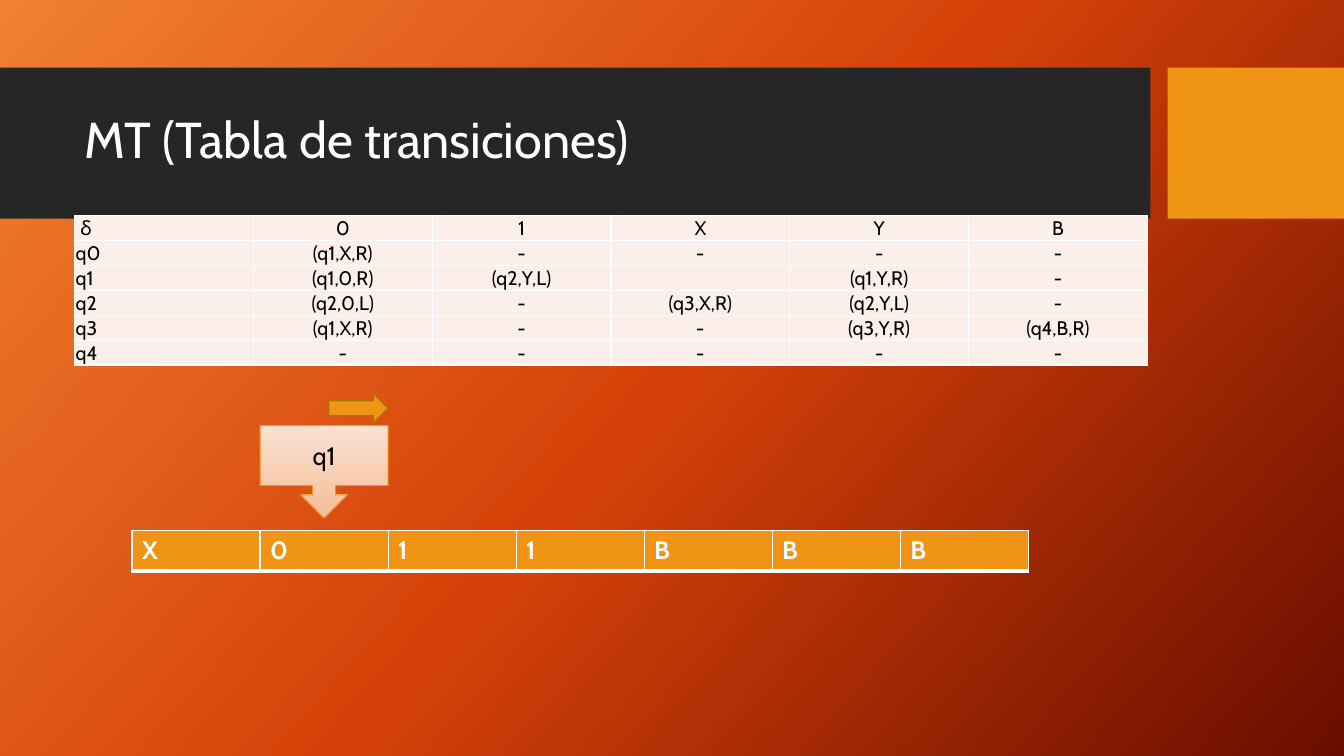
from copy import deepcopy
from dataclasses import dataclass

from lxml import etree
from pptx import Presentation
from pptx.dml.color import RGBColor
from pptx.enum.shapes import MSO_SHAPE
from pptx.enum.text import MSO_ANCHOR, PP_ALIGN
from pptx.oxml.ns import qn
from pptx.util import Inches, Pt

RECTANGLE = MSO_SHAPE.RECTANGLE
RIGHT_ARROW = MSO_SHAPE.RIGHT_ARROW
DOWN_CALLOUT = MSO_SHAPE.DOWN_ARROW_CALLOUT
LEFT, CENTER = PP_ALIGN.LEFT, PP_ALIGN.CENTER
TOP, MIDDLE, BOTTOM = MSO_ANCHOR.TOP, MSO_ANCHOR.MIDDLE, MSO_ANCHOR.BOTTOM


@dataclass(frozen=True)
class Theme:
    font: str = "Cabin"
    white: str = "FFFFFF"
    black: str = "000000"
    band: str = "262626"
    accent: str = "F09415"
    accent_line: str = "B26D10"
    cell: str = "FCEEE8"
    background: tuple = ((0, "F18031"), (0.5, "D54209"), (1, "6A0D00"))
    callout: tuple = ((0, "FAE1D1"), (1, "F5BD98"))
    title_size: int = 36
    head_size: int = 18
    table_size: int = 14


THEME = Theme()

TRANSITIONS = [
    [" δ", "0", "1", "X", "Y", "B"],
    ["q0", "(q1,X,R)", "-", "-", "-", "-"],
    ["q1", "(q1,0,R)", "(q2,Y,L)", "", "(q1,Y,R)", "-"],
    ["q2", "(q2,0,L)", "-", "(q3,X,R)", "(q2,Y,L)", "-"],
    ["q3", "(q1,X,R)", "-", "-", "(q3,Y,R)", "(q4,B,R)"],
    ["q4", "-", "-", "-", "-", "-"],
]
TAPE = [list("X011BBB")]


def place(shape, left, top, width, height):
    shape.left, shape.top = Inches(left), Inches(top)
    shape.width, shape.height = Inches(width), Inches(height)


def write(frame, text, size, color, align=LEFT, bold=False):
    frame.text = text
    para = frame.paragraphs[0]
    para.alignment = align
    for span in para.runs:
        span.font.name = THEME.font
        span.font.size = Pt(size)
        span.font.bold = bold
        span.font.color.rgb = RGBColor.from_string(color)
    if not text:
        etree.SubElement(para._p, qn("a:endParaRPr"), sz=str(size * 100))


def paint_gradient(fill, stops, clockwise):
    fill.gradient()
    fill.gradient_angle = 360 - clockwise
    first = fill.gradient_stops[0]._gs
    for _ in stops[2:]:
        first.addnext(deepcopy(first))
    for stop, (position, color) in zip(fill.gradient_stops, stops):
        stop.position = position
        stop.color.rgb = RGBColor.from_string(color)


def add_box(page, kind, bounds, fill, line=None, line_width=1):
    box = page.shapes.add_shape(kind, *map(Inches, bounds))
    box.shadow.inherit = False
    if isinstance(fill, tuple):
        paint_gradient(box.fill, fill, 90)
    else:
        box.fill.solid()
        box.fill.fore_color.rgb = RGBColor.from_string(fill)
    if line:
        box.line.color.rgb = RGBColor.from_string(line)
        box.line.width = Pt(line_width)
    else:
        box.line.fill.background()
    return box


def add_title(page, text):
    title = page.shapes.title
    page.shapes._spTree.append(title._element)
    place(title, 0.74, 0.82, 10.51, 1.18)
    title.text_frame.vertical_anchor = MIDDLE
    write(title.text_frame, text, THEME.title_size, THEME.white)
    title.text_frame.paragraphs[0].line_spacing = 0.9


def set_borders(cell, bottom_width):
    properties = cell._tc.get_or_add_tcPr()
    for side, width in zip("LRTB", (1, 1, 1, bottom_width)):
        line = etree.SubElement(properties, qn(f"a:ln{side}"), w=str(Pt(width)))
        paint = etree.SubElement(line, qn("a:solidFill"))
        etree.SubElement(paint, qn("a:srgbClr"), val=THEME.white)


def add_grid(page, rows, bounds, fill, bottom_width=1):
    frame = page.shapes.add_table(len(rows), len(rows[0]), *map(Inches, bounds))
    table = frame.table
    table.first_row = table.horz_banding = False
    for row, values in zip(table.rows, rows):
        for cell, value in zip(row.cells, values):
            set_borders(cell, bottom_width)
            cell.fill.solid()
            cell.fill.fore_color.rgb = RGBColor.from_string(fill)
            cell.vertical_anchor = TOP
            yield cell, value


def add_transitions(page):
    bounds = (0.74, 2.14, 10.64, 1.46)
    for index, (cell, value) in enumerate(add_grid(page, TRANSITIONS, bounds, THEME.cell)):
        cell.vertical_anchor = BOTTOM
        cell.margin_left = cell.margin_right = cell.margin_top = Inches(0.01)
        cell.margin_bottom = 0
        align = CENTER if index % len(TRANSITIONS[0]) else LEFT
        write(cell.text_frame, value, THEME.table_size, THEME.black, align)


def add_tape(page):
    bounds = (1.31, 5.26, 8.89, 0.4)
    for cell, value in add_grid(page, TAPE, bounds, THEME.accent, bottom_width=3):
        write(cell.text_frame, value, THEME.head_size, THEME.white, bold=True)


def add_head(page, state):
    box = add_box(page, DOWN_CALLOUT, (2.58, 4.22, 1.27, 0.92), THEME.callout, THEME.accent, 0.75)
    box.text_frame.vertical_anchor = MIDDLE
    write(box.text_frame, state, THEME.head_size, THEME.black, CENTER)


def main():
    deck = Presentation()
    deck.slide_width, deck.slide_height = Inches(13.33), Inches(7.5)
    page = deck.slides.add_slide(deck.slide_layouts[5])
    paint_gradient(page.background.fill, THEME.background, 42)
    add_box(page, RECTANGLE, (0, 0.67, 11.41, 1.5), THEME.band)
    add_box(page, RECTANGLE, (11.58, 0.67, 1.75, 1.5), THEME.accent)
    add_title(page, "MT (Tabla de transiciones)")
    add_transitions(page)
    add_head(page, "q1")
    add_tape(page)
    add_box(page, RIGHT_ARROW, (3.26, 3.9, 0.59, 0.3), THEME.accent, THEME.accent_line)
    deck.save("out.pptx")


if __name__ == "__main__":
    main()
